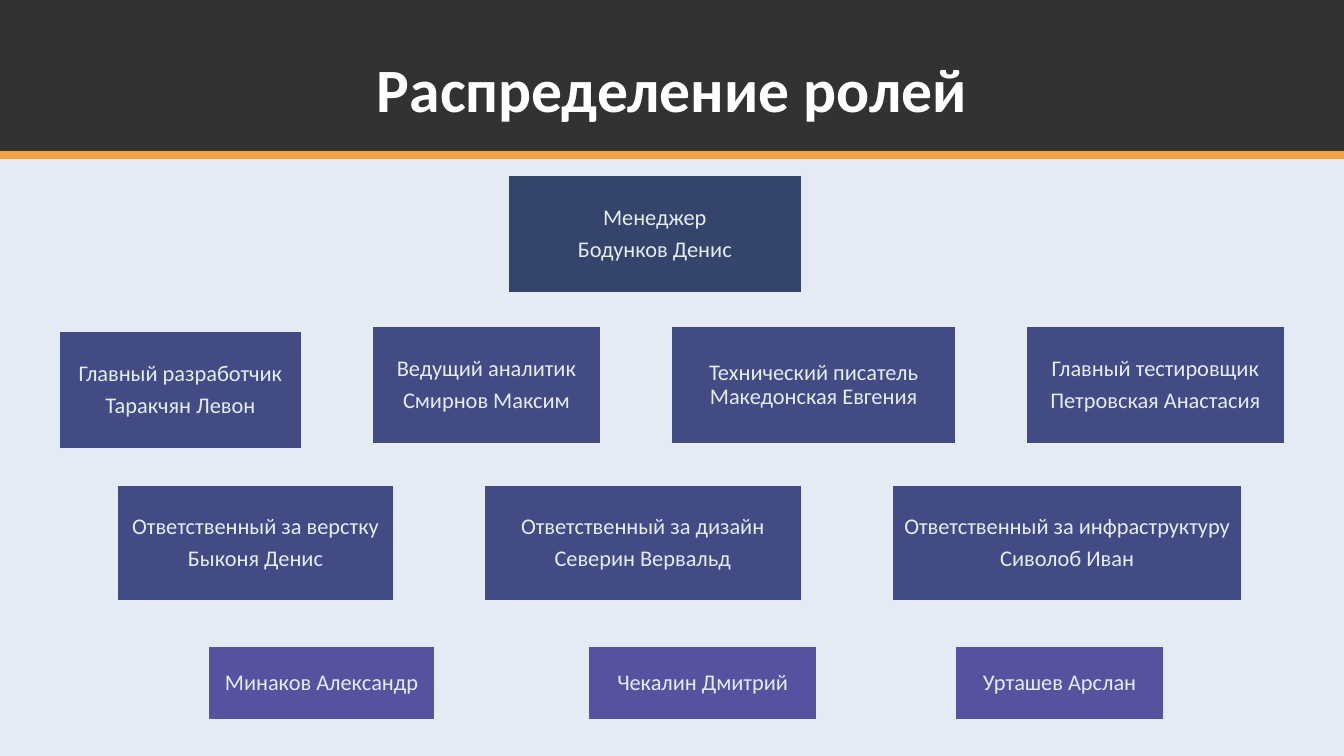
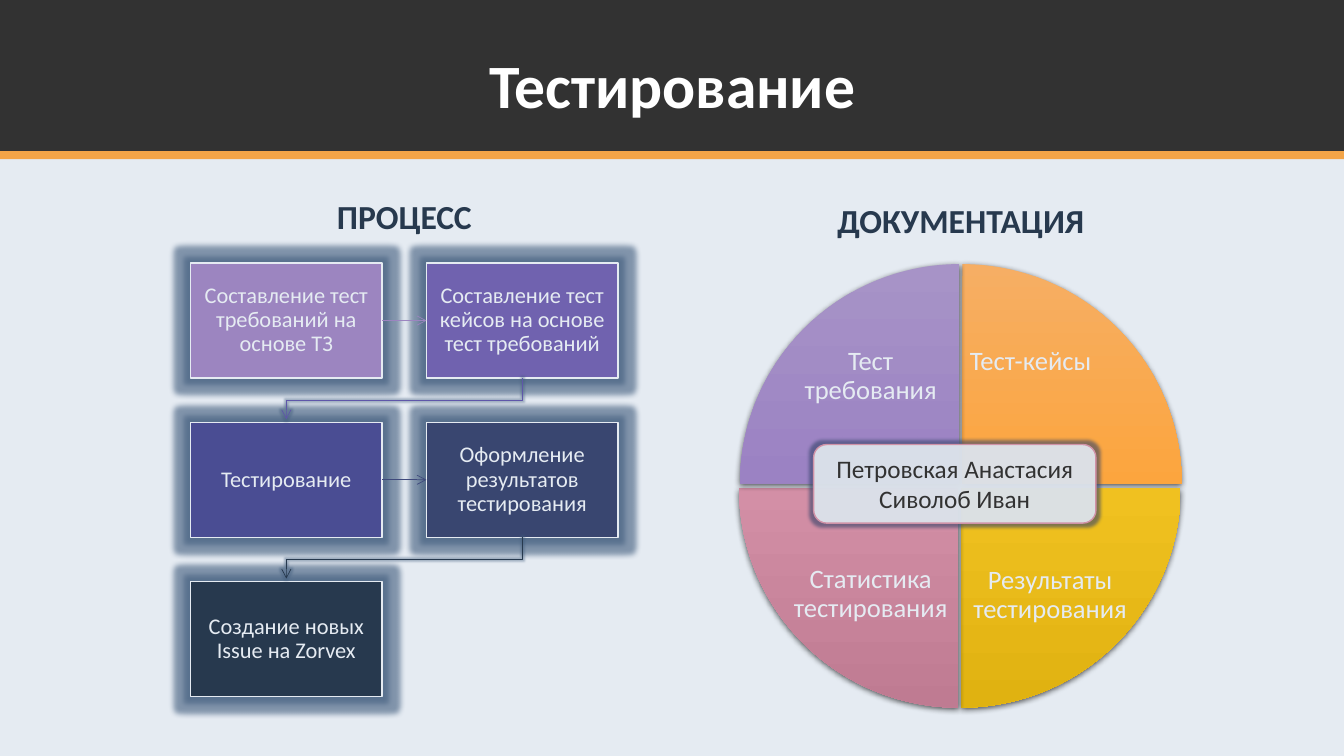
from copy import deepcopy

from lxml import etree
from pptx import Presentation
from pptx.dml.color import RGBColor
from pptx.enum.shapes import MSO_CONNECTOR, MSO_SHAPE
from pptx.enum.text import MSO_ANCHOR, PP_ALIGN
from pptx.oxml.ns import qn
from pptx.util import Inches, Pt

RECT, ROUND_RECT, PIE = MSO_SHAPE.RECTANGLE, MSO_SHAPE.ROUNDED_RECTANGLE, MSO_SHAPE.PIE
TOP, MIDDLE, BOTTOM = MSO_ANCHOR.TOP, MSO_ANCHOR.MIDDLE, MSO_ANCHOR.BOTTOM
LEFT, CENTER = PP_ALIGN.LEFT, PP_ALIGN.CENTER
STRAIGHT = MSO_CONNECTOR.STRAIGHT
FONT = "Calibri"
COLORS = {
    "pale": "E5EBF2", "dark": "323232", "orange": "F3A447", "white": "FFFFFF",
    "navy": "27394E", "manager": "35446A", "lead": "434B85", "member": "5652A0",
    "label_edge": "D092A7", "glow": "3F5B7C",
}
BLACK = "000000"


def write(shape, lines, size, color, inset=0.1, anchor=TOP, align=CENTER,
          bold=False, line_spacing=0.9, after=0.35):
    frame = shape.text_frame
    frame.word_wrap = True
    frame.vertical_anchor = anchor
    frame.margin_left = frame.margin_right = Inches(inset)
    frame.margin_top = frame.margin_bottom = Inches(min(inset, 0.05) if inset == 0.1 else inset)
    for i, line in enumerate(lines):
        paragraph = frame.paragraphs[0] if i == 0 else frame.add_paragraph()
        paragraph.alignment = align
        paragraph.line_spacing = line_spacing
        paragraph.space_after = Pt(size * after)
        run = paragraph.add_run()
        run.text = line
        run.font.name, run.font.size, run.font.bold = FONT, Pt(size), bold
        run.font.color.rgb = RGBColor.from_string(color)


def add_effect(shape, tag=None, color=BLACK, alpha=60, **settings):
    # Without a tag the empty list switches off the theme shadow
    effects = etree.SubElement(shape.element.spPr, qn("a:effectLst"))
    if tag:
        effect = etree.SubElement(effects, qn(tag), settings)
        rgb = etree.SubElement(effect, qn("a:srgbClr"), val=color)
        etree.SubElement(rgb, qn("a:alpha"), val=str(alpha * 1000))


prs = Presentation()
prs.slide_width, prs.slide_height = Inches(13.33), Inches(7.5)

# Shared background, header bands and title
slides = []
for title, title_height in [("Распределение ролей", 1.03), ("Тестирование", 0.96)]:
    slide = prs.slides.add_slide(prs.slide_layouts[6])
    slide.background.fill.solid()
    slide.background.fill.fore_color.rgb = RGBColor.from_string(COLORS["pale"])
    for top, height, color in [(0, 1.5, "dark"), (1.5, 0.08, "orange")]:
        band = slide.shapes.add_shape(RECT, 0, Inches(top), prs.slide_width, Inches(height))
        band.fill.solid()
        band.fill.fore_color.rgb = RGBColor.from_string(COLORS[color])
        band.line.fill.background()
        add_effect(band)
    heading = slide.shapes.add_textbox(Inches(0.92), Inches(0.4), Inches(11.5), Inches(title_height))
    write(heading, [title], 44, COLORS["white"], anchor=MIDDLE, bold=True, after=0)
    slides.append(slide)
roles, testing = (slide.shapes for slide in slides)

# Slide 1: team chart, level by level
levels = [
    (1.74, 1.16, "manager", [(5.04, 2.91, ["Менеджер", "Бодунков Денис"])]),
    (3.29, 1.16, "lead", [(0.59, 2.4, ["Главный разработчик", "Таракчян Левон"])]),
    (3.24, 1.16, "lead", [
        (3.69, 2.27, ["Ведущий аналитик", "Смирнов Максим"]),
        (6.66, 2.82, ["Технический писатель Македонская Евгения"]),
        (10.18, 2.56, ["Главный тестировщик", "Петровская Анастасия"])]),
    (4.81, 1.15, "lead", [
        (1.16, 2.75, ["Ответственный за верстку", "Быконя Денис"]),
        (4.8, 3.15, ["Ответственный за дизайн", "Северин Вервальд"]),
        (8.85, 3.47, ["Ответственный за инфраструктуру", "Сиволоб Иван"])]),
    (6.41, 0.73, "member", [
        (2.07, 2.24, ["Минаков Александр"]),
        (5.84, 2.26, ["Чекалин Дмитрий"]),
        (9.48, 2.06, ["Урташев Арслан"])]),
]
for top, height, color, people in levels:
    for left, width, lines in people:
        role = roles.add_shape(RECT, Inches(left), Inches(top), Inches(width), Inches(height))
        role.fill.solid()
        role.fill.fore_color.rgb = RGBColor.from_string(COLORS[color])
        role.line.color.rgb = RGBColor.from_string(COLORS["pale"])
        role.line.width = Pt(1)
        add_effect(role)
        write(role, lines, 16, COLORS["pale"], inset=0.07, anchor=MIDDLE)

# Slide 2: column headings
for text, left, top, width in [("ПРОЦЕСС", 2.73, 1.89, 2.56), ("ДОКУМЕНТАЦИЯ", 7.84, 1.93, 3.38)]:
    heading = testing.add_textbox(Inches(left), Inches(top), Inches(width), Inches(0.5))
    write(heading, [text], 24, COLORS["navy"], bold=True, line_spacing=1, after=0)

# Process steps on a two-column grid
steps = []
for i, (text, color) in enumerate([
        ("Составление тест требований на основе ТЗ", "9C85C0"),
        ("Составление тест кейсов на основе тест требований", "7062AF"),
        ("Тестирование", "4A4D93"),
        ("Оформление результатов тестирования", "394670"),
        ("Создание новых Issue на Zorvex", "27394E")]):
    row, column = divmod(i, 2)
    step = testing.add_shape(RECT, Inches(1.89 + 2.34 * column), Inches(2.61 + 1.58 * row),
                             Inches(1.9), Inches(1.14))
    step.fill.solid()
    step.fill.fore_color.rgb = RGBColor.from_string(color)
    step.line.color.rgb = RGBColor.from_string(COLORS["pale"])
    step.line.width = Pt(1)
    add_effect(step, "a:glow", COLORS["glow"], rad=str(Pt(8)))
    write(step, [text], 16, COLORS["pale"], inset=0.12, anchor=MIDDLE)
    steps.append(step)

# Arrows: straight along a row, bent down to the next row
for start, end, color in zip(steps, steps[1:], ["9C85C0", "5F57A9", "3F497C", "27394E"]):
    if start.top == end.top:
        arrow = testing.add_connector(STRAIGHT, 0, 0, 0, 0)
        arrow.begin_connect(start, 3)
        arrow.end_connect(end, 1)
    else:
        start_x, end_x = start.left + start.width // 2, end.left + end.width // 2
        start_y = start.top + start.height
        bend_y = (start_y + end.top) // 2
        outline = testing.build_freeform(start_x, start_y)
        outline.add_line_segments([(start_x, bend_y), (end_x, bend_y), (end_x, end.top - Inches(0.03))],
                                  close=False)
        arrow = outline.convert_to_shape()
        arrow.fill.background()
    arrow.line.color.rgb = RGBColor.from_string(color)
    arrow.line.width = Pt(0.5)
    etree.SubElement(arrow.element.spPr.find(qn("a:ln")), qn("a:tailEnd"), type="arrow")
    add_effect(arrow, "a:glow", COLORS["glow"], 40, rad=str(Pt(3)))

# Documentation wheel: quarter, its angles, gradient and caption
quarters = [
    (7.37, 2.62, 270, 0, ["F6AE64", "FCA53E", "E59332"], "Тест-кейсы", 9.59, 3.42, TOP, LEFT),
    (7.36, 2.67, 0, 90, ["ECC453", "F0C120", "E0B211"], "Результаты тестирования", 9.61, 4.93, BOTTOM, CENTER),
    (7.33, 2.67, 90, 180, ["D69FB1", "D38FA6", "BF7B92"], "Статистика тестирования", 7.83, 4.92, BOTTOM, CENTER),
    (7.34, 2.62, 180, 270, ["A793C7", "9B82C3", "8970B1"], "Тест требования", 7.83, 3.42, TOP, CENTER),
]
for left, top, first, last, shades, text, text_left, text_top, anchor, align in quarters:
    quarter = testing.add_shape(PIE, Inches(left), Inches(top), Inches(4.35), Inches(4.35))
    quarter.adjustments[0], quarter.adjustments[1] = first * 0.6, last * 0.6
    quarter.fill.gradient()
    quarter.fill.gradient_angle = 270
    first_stop = quarter.element.spPr.find(".//" + qn("a:gs"))
    first_stop.addnext(deepcopy(first_stop))
    for stop, shade, position in zip(quarter.fill.gradient_stops, shades, [0, 0.5, 1]):
        stop.color.rgb = RGBColor.from_string(shade)
        stop.position = position
    quarter.line.fill.background()
    add_effect(quarter, "a:outerShdw", BLACK, 63, blurRad=str(Pt(4.5)), dist=str(Pt(1.5)),
               dir="5400000", rotWithShape="0")
    caption = testing.add_textbox(Inches(text_left), Inches(text_top), Inches(1.61), Inches(1.29))
    write(caption, [text], 19, COLORS["pale"], inset=0.03, anchor=anchor, align=align)

# People responsible, over the centre of the wheel
owners = testing.add_shape(ROUND_RECT, Inches(8.07), Inches(4.41), Inches(2.8), Inches(0.78))
owners.fill.solid()
owners.fill.fore_color.rgb = RGBColor.from_string(COLORS["pale"])
etree.SubElement(owners.element.spPr.find(".//" + qn("a:srgbClr")), qn("a:alpha"), val="91000")
owners.line.color.rgb = RGBColor.from_string(COLORS["label_edge"])
owners.line.width = Pt(1)
add_effect(owners, "a:glow", COLORS["manager"], rad=str(Pt(5)))
write(owners, ["Петровская Анастасия", "Сиволоб Иван"], 18, COLORS["dark"], line_spacing=1, after=0)

prs.save("out.pptx")
